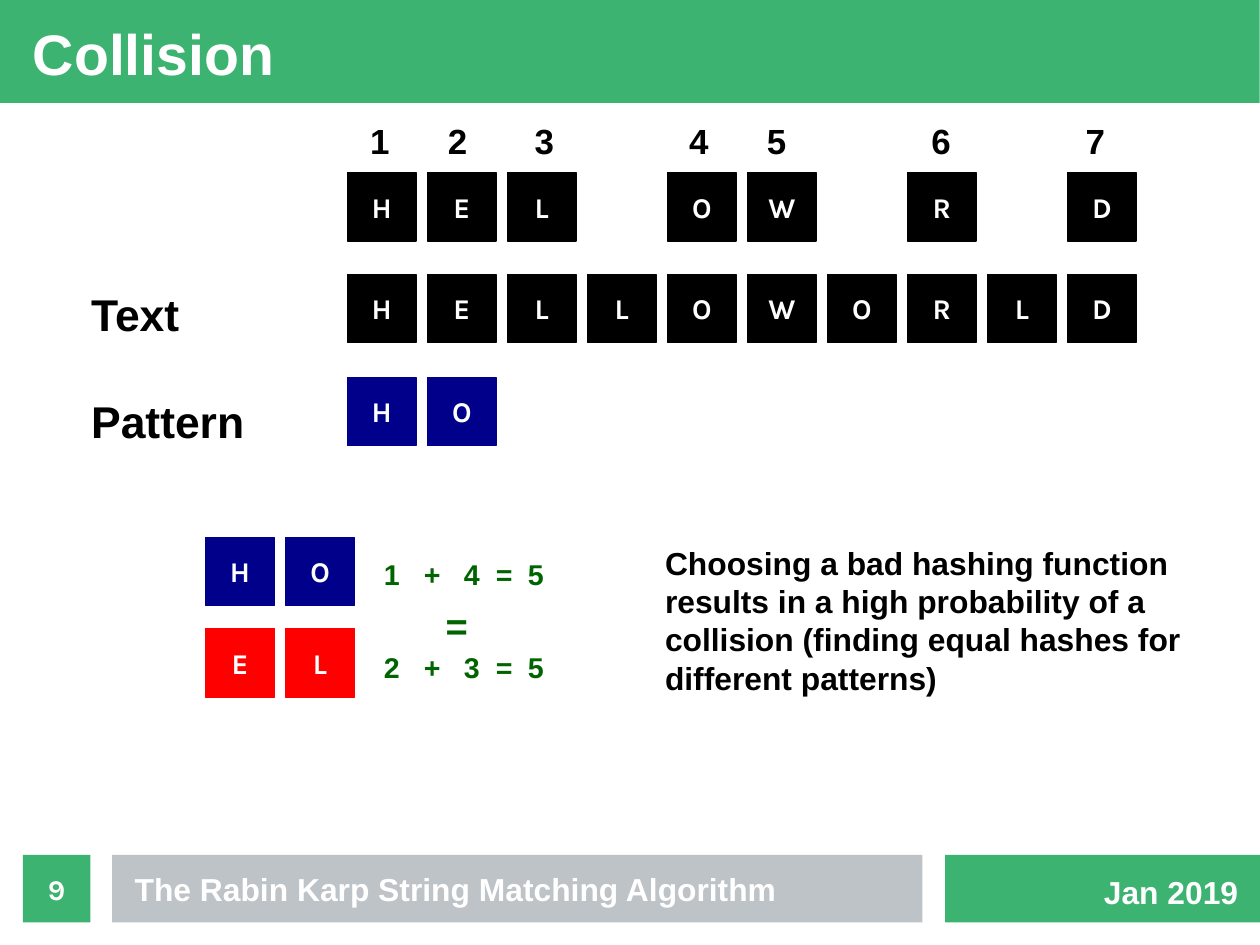
from dataclasses import dataclass
from typing import NamedTuple

from lxml import etree
from pptx import Presentation
from pptx import util as u
from pptx.dml import color
from pptx.enum import shapes, text
from pptx.oxml import ns


@dataclass(frozen=True)
class Theme:
    green: str = "3CB371"
    gray: str = "BDC3C7"
    black: str = "000000"
    navy: str = "00008B"
    red: str = "FF0000"
    leaf: str = "006400"
    white: str = "FFFFFF"
    sans: str = "Arial"
    tile: str = "Karla"
    title: int = 36
    head: int = 28
    sign: int = 24
    mark: int = 22
    body: int = 20
    small: int = 18


class Panel(NamedTuple):
    left: float
    top: float
    width: float
    height: float
    fill: str
    label: str = ""
    edge: bool = False


class Row(NamedTuple):
    left: float
    top: float
    word: str
    fill: str


class Label(NamedTuple):
    left: float
    top: float
    width: float
    height: float
    words: str
    size: int
    hue: str
    tabs: tuple[float, ...] = ()


THEME = Theme()
SIDE = 0.6
STEP = 0.7
GRID = 3.04
SUM = (0.35, 0.7, 0.98, 1.26)

PANELS = [
    Panel(0, 0, 11.02, 0.9, THEME.green),
    Panel(8.27, 7.48, 2.76, 0.59, THEME.green),
    Panel(0.98, 7.48, 7.09, 0.59, THEME.gray),
    Panel(0.2, 7.48, 0.59, 0.59, THEME.green, "9"),
]
ROWS = [
    Row(GRID, 1.51, "HEL OW R D", THEME.black),
    Row(GRID, 2.4, "HELLOWORLD", THEME.black),
    Row(GRID, 3.3, "HO", THEME.navy),
    Row(1.8, 4.7, "HO", THEME.navy),
    Row(1.8, 5.5, "EL", THEME.red),
]
LABELS = [
    Label(3.14, 1, 6.8, 0.44, "1\t2\t3\t4\t5\t6\t7", THEME.mark, THEME.black,
          (0.68, 1.44, 2.79, 3.47, 4.91, 6.26)),
    Label(0.7, 2.46, 1.7, 0.53, "Text", THEME.head, THEME.black),
    Label(0.7, 3.4, 1.7, 0.53, "Pattern", THEME.head, THEME.black),
    Label(3.26, 4.82, 1.84, 0.4, "1\t+\t4\t=\t5", THEME.small, THEME.leaf, SUM),
    Label(3.8, 5.22, 0.5, 0.47, "=", THEME.sign, THEME.leaf),
    Label(3.26, 5.64, 1.84, 0.4, "2\t+\t3\t=\t5", THEME.small, THEME.leaf, SUM),
    Label(5.72, 4.71, 5.1, 1.81,
          "Choosing a bad hashing function results in a high probability of a "
          "collision (finding equal hashes for different patterns)",
          THEME.body, THEME.black),
    Label(1.08, 7.56, 6.62, 0.42, "The Rabin Karp String Matching Algorithm",
          THEME.body, THEME.white),
    Label(9.56, 7.59, 1.4, 0.43, "Jan 2019", THEME.body, THEME.white),
    Label(0.19, 0.11, 10.72, 0.65, "Collision", THEME.title, THEME.white),
]


def style(para, face: str, size: int, hue: str) -> None:
    for run in para.runs:
        run.font.name = face
        run.font.size = u.Pt(size)
        run.font.bold = True
        run.font.color.rgb = color.RGBColor.from_string(hue)


def panel(slide, item: Panel) -> None:
    box = slide.shapes.add_shape(
        shapes.MSO_SHAPE.RECTANGLE,
        u.Inches(item.left), u.Inches(item.top),
        u.Inches(item.width), u.Inches(item.height))
    box.shadow.inherit = False
    paint = color.RGBColor.from_string(item.fill)
    box.fill.solid()
    box.fill.fore_color.rgb = paint
    if item.edge:
        box.line.color.rgb = paint
        box.line.width = u.Pt(0)
    else:
        box.line.fill.background()
    if item.label:
        frame = box.text_frame
        frame.text = item.label
        frame.word_wrap = False
        frame.vertical_anchor = text.MSO_ANCHOR.MIDDLE
        para = frame.paragraphs[0]
        para.alignment = text.PP_ALIGN.CENTER
        style(para, THEME.tile, THEME.small, THEME.white)


def tiles(slide, row: Row) -> None:
    for col, char in enumerate(row.word):
        if char != " ":
            left = row.left + col * STEP
            panel(slide, Panel(left, row.top, SIDE, SIDE, row.fill, char, True))


def label(slide, item: Label) -> None:
    box = slide.shapes.add_textbox(
        u.Inches(item.left), u.Inches(item.top),
        u.Inches(item.width), u.Inches(item.height))
    frame = box.text_frame
    frame.text = item.words
    frame.word_wrap = True
    para = frame.paragraphs[0]
    if item.tabs:
        stops = etree.SubElement(para._p.get_or_add_pPr(), ns.qn("a:tabLst"))
        for stop in item.tabs:
            etree.SubElement(stops, ns.qn("a:tab"),
                             pos=str(u.Inches(stop)), algn="l")
    style(para, THEME.sans, item.size, item.hue)


def main() -> None:
    deck = Presentation()
    deck.slide_width = u.Cm(28)
    deck.slide_height = u.Cm(21)
    slide = deck.slides.add_slide(deck.slide_layouts[6])
    for item in PANELS:
        panel(slide, item)
    for row in ROWS:
        tiles(slide, row)
    for item in LABELS:
        label(slide, item)
    deck.save("out.pptx")


if __name__ == "__main__":
    main()
